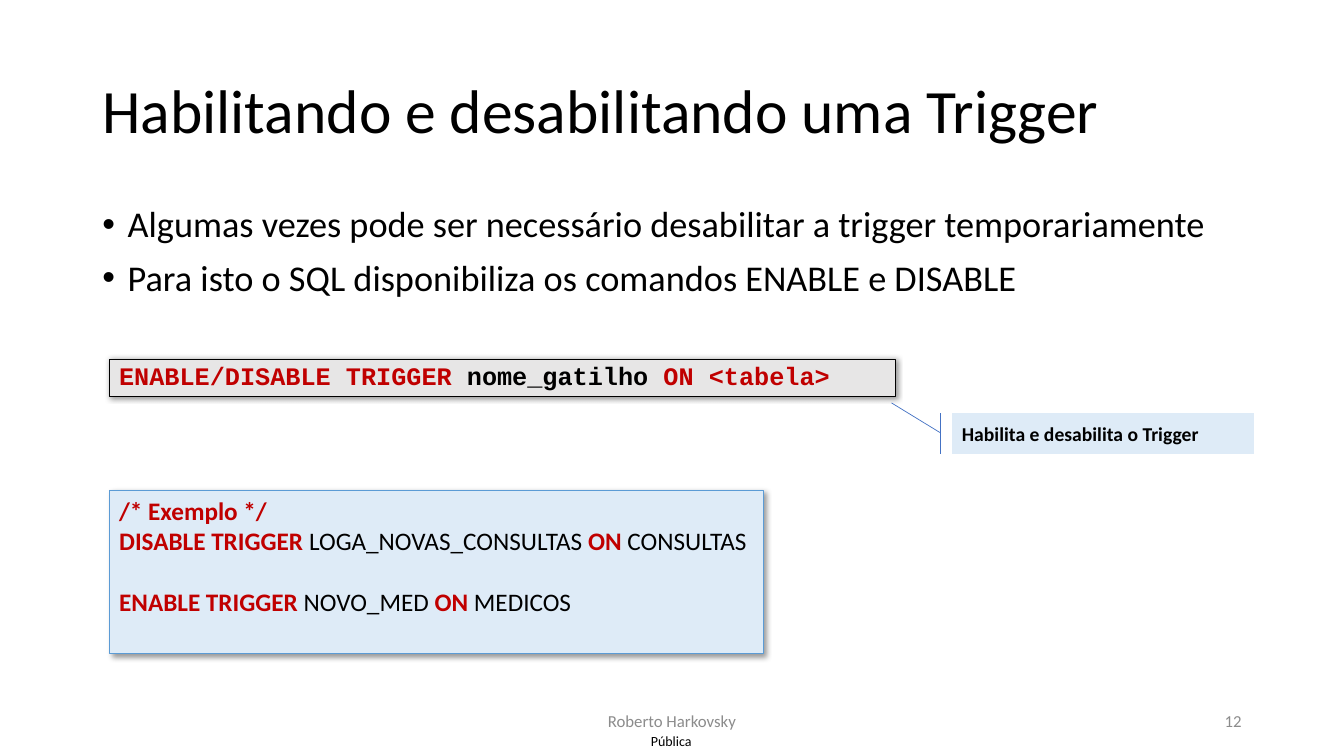
import pptx
import pptx.util
import pptx.dml.color
import pptx.enum.shapes
import pptx.enum.text
import pptx.oxml
import pptx.oxml.ns

Pt = pptx.util.Pt
RGBColor = pptx.dml.color.RGBColor
Align = pptx.enum.text.PP_ALIGN
Anchor = pptx.enum.text.MSO_ANCHOR
Kind = pptx.enum.shapes.MSO_SHAPE

BLACK = RGBColor(0x00, 0x00, 0x00)
RED = RGBColor(0xC0, 0x00, 0x00)
GREY = RGBColor(0x8C, 0x8C, 0x8C)
SILVER = RGBColor(0xE7, 0xE6, 0xE6)
PALE = RGBColor(0xDE, 0xEB, 0xF7)
BLUE = RGBColor(0x5B, 0x9B, 0xD5)
NAVY = RGBColor(0x44, 0x72, 0xC4)
LEFT = 78


def write(par, text, size=18, font="Calibri", color=BLACK, bold=False,
          align=Align.LEFT, line=1.0, before=0):
    par.alignment = align
    par.line_spacing = line
    par.space_before = Pt(before)
    run = par.add_run()
    run.text = text
    run.font.size = Pt(size)
    run.font.name = font
    run.font.color.rgb = color
    run.font.bold = bold


class Slide:
    def __init__(self, deck):
        self.page = deck.slides.add_slide(deck.slide_layouts[1])
        self.shapes = self.page.shapes

    def frame(self, shape, anchor=Anchor.TOP, wrap=True):
        frame = shape.text_frame
        frame.auto_size = pptx.enum.text.MSO_AUTO_SIZE.NONE
        frame.word_wrap = wrap
        frame.vertical_anchor = anchor
        return frame

    def holder(self, index, box, anchor):
        shape = self.page.placeholders[index]
        shape.left, shape.top, shape.width, shape.height = map(Pt, box)
        return self.frame(shape, anchor)

    def title(self, text, box):
        frame = self.holder(0, box, Anchor.MIDDLE)
        write(frame.paragraphs[0], text, size=44, line=0.9)

    def bullets(self, items, box):
        frame = self.holder(1, box, Anchor.TOP)
        for num, item in enumerate(items):
            par = frame.add_paragraph() if num else frame.paragraphs[0]
            write(par, item, size=25.9, line=0.9, before=10)
            props = par._p.get_or_add_pPr()
            props.set("marL", str(Pt(18)))
            props.set("indent", str(Pt(-18)))
            mark = pptx.oxml.parse_xml(
                f'<a:buChar {pptx.oxml.ns.nsdecls("a")} char="•"/>')
            props.append(mark)

    def label(self, text, box, inset=7.2, **style):
        frame = self.frame(self.shapes.add_textbox(*map(Pt, box)), Anchor.MIDDLE)
        frame.margin_left = frame.margin_right = Pt(inset)
        frame.margin_top = frame.margin_bottom = Pt(inset / 2)
        write(frame.paragraphs[0], text, **style)

    def panel(self, box, fill, edge, width, kind=Kind.RECTANGLE):
        shape = self.shapes.add_shape(kind, *map(Pt, box))
        shape.shadow.inherit = False
        shape.fill.solid()
        shape.fill.fore_color.rgb = fill
        shape.line.color.rgb = edge
        shape.line.width = Pt(width)
        return shape

    def shade(self, shape, dist):
        glow = pptx.oxml.parse_xml(
            f'<a:outerShdw {pptx.oxml.ns.nsdecls("a")} blurRad="{Pt(4)}" '
            f'dist="{Pt(dist)}" dir="2700000" algn="tl" rotWithShape="0">'
            '<a:srgbClr val="000000"><a:alpha val="40000"/></a:srgbClr>'
            '</a:outerShdw>')
        shape._element.spPr.find(pptx.oxml.ns.qn("a:effectLst")).append(glow)

    def code(self, lines, box, fill, edge, width, dist, wrap=True,
             plain=False, **style):
        shape = self.panel(box, fill, edge, width)
        self.shade(shape, dist)
        frame = self.frame(shape, wrap=wrap)
        for num, (before, words) in enumerate(lines):
            par = frame.add_paragraph() if num else frame.paragraphs[0]
            for place, word in enumerate(words):
                key = place % 2 == 0
                write(par, word, color=RED if key else BLACK,
                      bold=key or not plain, before=before, **style)

    def callout(self, text, box, tail):
        shape = self.panel(box, PALE, NAVY, 0.5, Kind.LINE_CALLOUT_1_ACCENT_BAR)
        for num, value in enumerate(tail):
            shape.adjustments[num] = value
        frame = self.frame(shape, Anchor.MIDDLE)
        write(frame.paragraphs[0], text, size=14, bold=True)


deck = pptx.Presentation()
deck.slide_width, deck.slide_height = Pt(960), Pt(540)
slide = Slide(deck)

slide.title("Habilitando e desabilitando uma Trigger", (66, 29, 828, 104))
slide.bullets(
    ["Algumas vezes pode ser necessário desabilitar a trigger temporariamente",
     "Para isto o SQL disponibiliza os comandos ENABLE e DISABLE"],
    (66, 144, 828, 86))

slide.code(
    [(0, ["ENABLE/DISABLE TRIGGER ", "nome_gatilho ", "ON <tabela>"])],
    (LEFT, 256.5, 561.5, 26.5), SILVER, BLACK, 0.75, 1,
    font="Courier New", line=0.9)
slide.callout("Habilita e desabilita o Trigger", (680, 295, 216, 29),
              (0.48, -0.04, -0.25, -0.2))
slide.code(
    [(0, ["/* Exemplo */"]),
     (0, ["DISABLE TRIGGER ", "LOGA_NOVAS_CONSULTAS ", "ON", " CONSULTAS"]),
     (22, ["ENABLE TRIGGER ", "NOVO_MED ", "ON", " MEDICOS"])],
    (LEFT, 350, 467, 117), PALE, BLUE, 0.5, 3, wrap=False, plain=True)

slide.label("Roberto Harkovsky", (318, 500.5, 324, 29),
            size=12, color=GREY, align=Align.CENTER)
slide.label("12", (678, 500.5, 216, 29),
            size=12, color=GREY, align=Align.RIGHT)
slide.label("Pública", (454.5, 519, 50, 21), inset=0,
            size=10, align=Align.CENTER)

deck.save("out.pptx")
